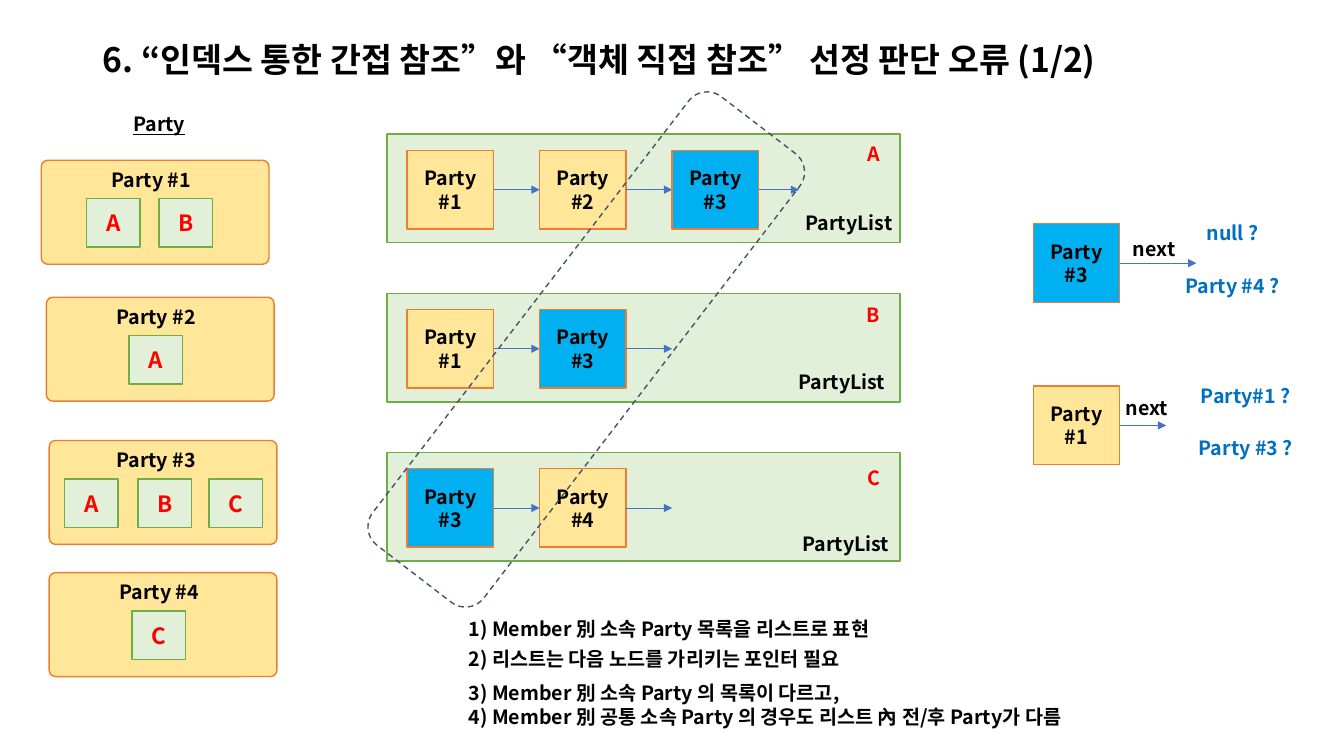
from lxml.etree import SubElement
from pptx import Presentation
from pptx.dml.color import RGBColor
from pptx.enum.dml import MSO_LINE
from pptx.enum.shapes import MSO_CONNECTOR, MSO_SHAPE
from pptx.enum.text import MSO_ANCHOR, MSO_AUTO_SIZE, PP_ALIGN
from pptx.oxml.ns import qn
from pptx.util import Cm, Pt

FONT = "Noto Sans CJK KR"
BLACK = RGBColor(0x00, 0x00, 0x00)
RED = RGBColor(0xFF, 0x00, 0x00)
BLUE = RGBColor(0x00, 0x70, 0xC0)
CYAN = RGBColor(0x00, 0xB0, 0xF0)
YELLOW = RGBColor(0xFF, 0xE6, 0x99)
ORANGE = RGBColor(0xED, 0x7D, 0x31)
PALE_GREEN = RGBColor(0xE2, 0xF0, 0xD9)
GREEN = RGBColor(0x70, 0xAD, 0x47)
ARROW_BLUE = RGBColor(0x44, 0x72, 0xC4)
SLATE = RGBColor(0x44, 0x54, 0x6A)

NODE_W, NODE_H, NODE_PITCH = 2.18, 1.98, 3.34
NODE_GAP = NODE_PITCH - NODE_W
MEMBER_W, MEMBER_H = 1.35, 1.22
LABEL_W, LABEL_H = 3.51, 0.86
LIST_LEFT, LIST_TOP, LIST_PITCH = 9.75, 3.38, 4.01


def write(tf, text, size=14, color=BLACK, align=PP_ALIGN.CENTER, underline=None):
    tf.word_wrap = True
    tf.text = text
    for p in tf.paragraphs:
        p.alignment = align
        p.font.size = Pt(size)
        p.font.bold = True
        p.font.underline = underline
        p.font.color.rgb = color
        p.font.name = FONT
        SubElement(p._p.pPr.find(qn("a:defRPr")), qn("a:ea"), typeface=FONT)


def add_box(s, left, top, width, height, fill, line, kind=MSO_SHAPE.RECTANGLE):
    sp = s.shapes.add_shape(kind, Cm(left), Cm(top), Cm(width), Cm(height))
    sp.shadow.inherit = False
    if fill is None:
        sp.fill.background()
    else:
        sp.fill.solid()
        sp.fill.fore_color.rgb = fill
    sp.line.color.rgb = line
    sp.line.width = Pt(1)
    return sp


def add_label(s, text, left, top, width=LABEL_W, height=LABEL_H, **style):
    sp = s.shapes.add_textbox(Cm(left), Cm(top), Cm(width), Cm(height))
    write(sp.text_frame, text, **style)
    sp.text_frame.auto_size = MSO_AUTO_SIZE.SHAPE_TO_FIT_TEXT


def add_member_letter(s, letter, left, top):
    sp = s.shapes.add_textbox(Cm(left), Cm(top), Cm(MEMBER_W), Cm(MEMBER_H))
    write(sp.text_frame, letter, color=RED)
    sp.text_frame.vertical_anchor = MSO_ANCHOR.MIDDLE


def add_arrow(s, left, y, length):
    cxn = s.shapes.add_connector(
        MSO_CONNECTOR.STRAIGHT, Cm(left), Cm(y), Cm(left + length), Cm(y))
    cxn.line.color.rgb = ARROW_BLUE
    cxn.line.width = Pt(0.5)
    SubElement(cxn.line._get_or_add_ln(), qn("a:tailEnd"), type="triangle")
    SubElement(cxn._element.spPr, qn("a:effectLst"))


def add_node(s, number, left, top, arrow_length):
    sp = add_box(s, left, top, NODE_W, NODE_H, CYAN if number == 3 else YELLOW, ORANGE)
    write(sp.text_frame, f"Party\n#{number}")
    add_arrow(s, left + NODE_W, top + NODE_H / 2, arrow_length)


def add_party_list(s, row, letter, numbers, last_arrow, letter_top, name_at):
    top = LIST_TOP + row * LIST_PITCH
    add_box(s, LIST_LEFT, top, 12.93, 2.74, PALE_GREEN, GREEN)
    for i, number in enumerate(numbers):
        length = last_arrow if i == len(numbers) - 1 else NODE_GAP
        add_node(s, number, LIST_LEFT + 0.51 + i * NODE_PITCH, top + 0.41, length)
    add_member_letter(s, letter, 21.34, letter_top)
    add_label(s, "PartyList", *name_at, align=PP_ALIGN.RIGHT)


def add_party(s, number, left, top, caption_left, members):
    card = add_box(s, left, top, 5.74, 2.62, YELLOW, ORANGE, MSO_SHAPE.ROUNDED_RECTANGLE)
    card.adjustments[0] = 0.062
    add_label(s, f"Party #{number}", caption_left, top + 0.06)
    for letter, x in members:
        sp = add_box(s, x, top + 0.97, MEMBER_W, MEMBER_H, PALE_GREEN, GREEN)
        write(sp.text_frame, letter, size=16, color=RED)


def add_question(s, number, top, arrow_length, next_at, options_left, options):
    add_node(s, number, 26.04, top, arrow_length)
    add_label(s, "next", *next_at)
    for i, text in enumerate(options):
        add_label(s, text, options_left, top - 0.19 + i * 1.32, color=BLUE)


def add_title(s, text):
    title = s.shapes.title
    title.left, title.top, title.width, title.height = Cm(2.34), Cm(0.56), Cm(29.21), Cm(1.98)
    tf = title.text_frame
    write(tf, text, size=24, align=PP_ALIGN.LEFT)
    tf.auto_size = MSO_AUTO_SIZE.NONE
    tf.vertical_anchor = MSO_ANCHOR.MIDDLE
    tf.paragraphs[0].line_spacing = 0.9


def main():
    prs = Presentation()
    prs.slide_width, prs.slide_height = Cm(33.87), Cm(19.05)
    s = prs.slides.add_slide(prs.slide_layouts[5])
    add_title(s, "6. “인덱스 통한 간접 참조”와 “객체 직접 참조” 선정 판단 오류 (1/2)")

    add_label(s, "Party", 2.26, 2.69, underline=True)
    add_party(s, 1, 1.04, 4.04, 2.06, [("A", 2.18), ("B", 4.01)])
    add_party(s, 2, 1.17, 7.49, 2.18, [("A", 3.25)])
    add_party(s, 3, 1.24, 11.1, 2.18, [("A", 1.63), ("B", 3.48), ("C", 5.27)])
    add_party(s, 4, 1.24, 14.43, 2.26, [("C", 3.33)])

    add_party_list(s, 0, "A", [1, 2, 3], 1.02, 3.25, (19.23, 5.18))
    add_party_list(s, 1, "B", [1, 3], NODE_GAP, 7.32, (19.05, 9.19))
    add_party_list(s, 2, "C", [3, 4], NODE_GAP, 11.43, (19.15, 13.28))
    outline = add_box(s, 7.65, 7.04, 14.25, 3.53, None, SLATE, MSO_SHAPE.ROUNDED_RECTANGLE)
    outline.rotation = 307.5
    outline.line.dash_style = MSO_LINE.DASH

    add_question(s, 3, 5.64, 1.93, (27.33, 5.84), 29.31, ["null ?", "Party #4 ?"])
    add_question(s, 1, 9.73, 1.17, (27.15, 9.86), 29.64, ["Party#1 ?", "Party #3 ?"])

    notes = [
        (15.42, 13.77, "1) Member 別 소속 Party 목록을 리스트로 표현"),
        (16.18, 13.77, "2) 리스트는 다음 노드를 가리키는 포인터 필요"),
        (17.04, 18.08, "3) Member 別 소속 Party 의 목록이 다르고,\n"
                       "4) Member 別 공통 소속 Party 의 경우도 리스트 內 전/후 Party가 다름"),
    ]
    for top, width, text in notes:
        add_label(s, text, 11.56, top, width, align=PP_ALIGN.LEFT)

    prs.save("out.pptx")


if __name__ == "__main__":
    main()
